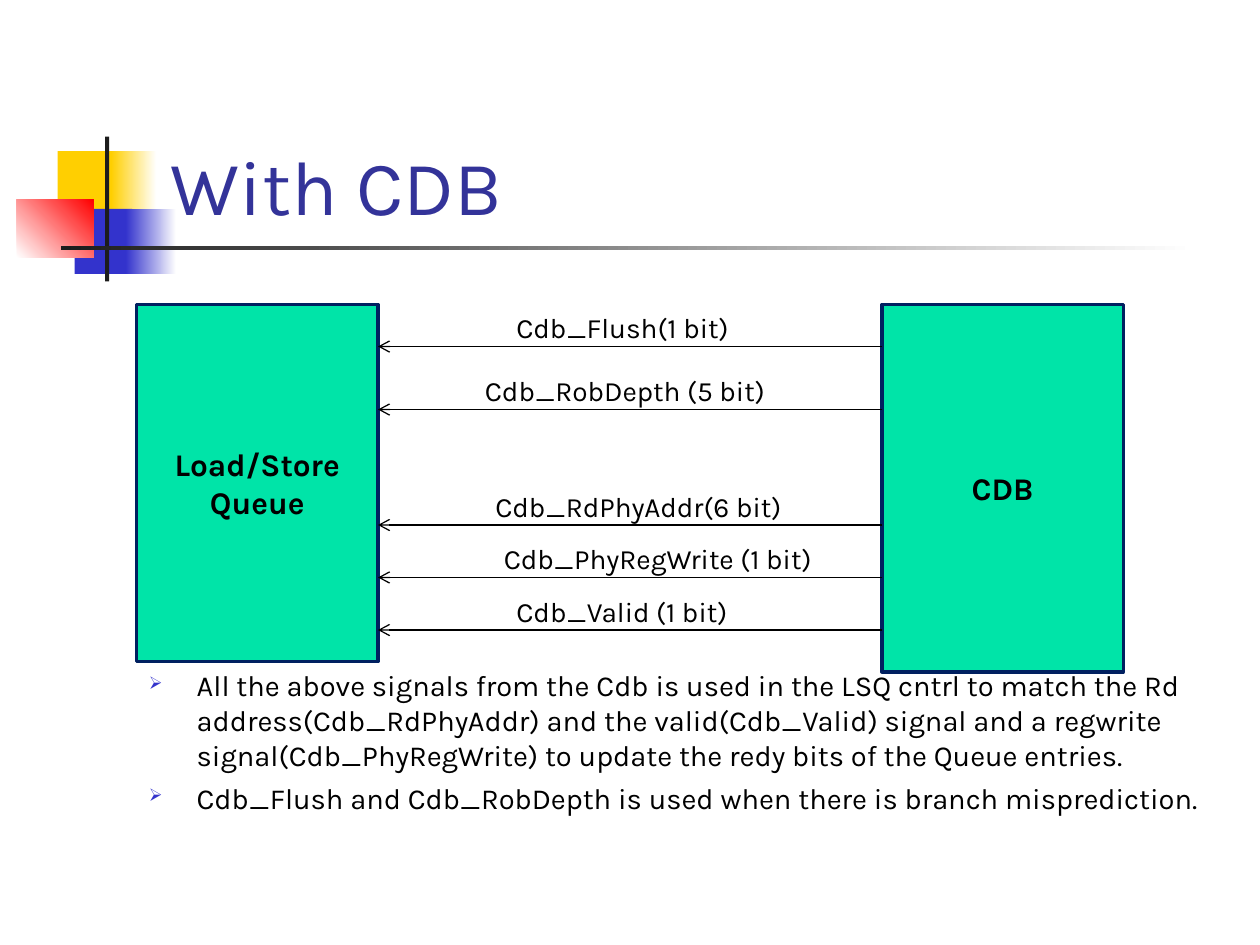
from lxml import etree
from pptx import Presentation, util as u
from pptx.dml.color import RGBColor
from pptx.enum import shapes, text
from pptx.oxml.ns import qn

CELLS_PER_INCH = 12  # grid of 120 columns by 90 rows
FONT = "Karla"
COLORS = {
    "yellow": "FFCF01", "blue": "3333CC", "red": "FF0000", "white": "FFFFFF",
    "dark": "1C1C1C", "title": "333399", "black": "000000",
    "block": "00E4A8", "border": "002060",
}
# box in cells (left, top, width, height), one or two colours, angle
DECORATIONS = [
    ((5.5, 14.4, 5.8, 6.2), ["yellow"], 0),
    ((10.6, 14.4, 4.3, 6.2), ["yellow", "white"], 0),
    ((7.1, 19.9, 5.5, 6.2), ["blue"], 0),
    ((12, 19.9, 4.8, 6.2), ["blue", "white"], 0),
    ((1.6, 19, 7.3, 5.5), ["white", "red"], 45),
    ((10, 13, 0.4, 13.8), ["dark"], 0),
    ((5.8, 23.4, 108, 0.4), ["dark", "white"], 0),
]
BLOCKS = [("Load/Store\nQueue", 13, 34), ("CDB", 84, 35)]
BLOCK_TOP, BLOCK_WIDTH = 29, 23
# label, its left column and width, row of its arrow
SIGNALS = [
    ("Cdb_Flush(1 bit)", 48, 25, 33),
    ("Cdb_RobDepth (5 bit)", 45, 36.6, 39),
    ("Cdb_RdPhyAddr(6 bit)", 46, 37.2, 50),
    ("Cdb_PhyRegWrite (1 bit)", 46.8, 33.1, 55),
    ("Cdb_Valid (1 bit)", 48, 28.9, 60),
]
NOTES = (
    "All the above signals from the Cdb is used in the LSQ cntrl to match the Rd "
    "address(Cdb_RdPhyAddr) and the valid(Cdb_Valid) signal and a regwrite "
    "signal(Cdb_PhyRegWrite) to update the redy bits of the Queue entries.\n"
    "Cdb_Flush and Cdb_RobDepth is used when there is branch misprediction."
)


def cells(*counts):
    return [u.Inches(count / CELLS_PER_INCH) for count in counts]


def color(name):
    return RGBColor.from_string(COLORS[name])


def write_text(shape, content, size, color_name="black", bold=False,
               align=text.PP_ALIGN.LEFT, anchor=text.MSO_ANCHOR.TOP, bulleted=False):
    frame = shape.text_frame
    frame.word_wrap = True
    frame.vertical_anchor = anchor
    frame.text = content
    for paragraph in frame.paragraphs:
        paragraph.alignment = align
        font = paragraph.runs[0].font
        font.name, font.size, font.bold = FONT, u.Pt(size), bold
        font.color.rgb = color(color_name)
        if bulleted:
            add_bullet(paragraph)


def add_bullet(paragraph):
    paragraph.space_before = u.Pt(4.5)
    properties = paragraph._p.get_or_add_pPr()
    indent = u.Inches(0.38)
    properties.set("marL", str(indent))
    properties.set("indent", str(-indent))
    bullet_color = etree.SubElement(properties, qn("a:buClr"))
    etree.SubElement(bullet_color, qn("a:srgbClr"), val=COLORS["blue"])
    etree.SubElement(properties, qn("a:buSzPct"), val="60000")
    etree.SubElement(properties, qn("a:buChar"), char="➢")


def add_rectangle(slide, box, color_names, angle=0):
    """Fill with one colour, or with a gradient between two."""
    shape = slide.shapes.add_shape(shapes.MSO_SHAPE.RECTANGLE, *cells(*box))
    shape.shadow.inherit = False
    shape.line.fill.background()
    if len(color_names) == 1:
        shape.fill.solid()
        shape.fill.fore_color.rgb = color(color_names[0])
    else:
        shape.fill.gradient()
        shape.fill.gradient_angle = angle
        for stop, name in zip(shape.fill.gradient_stops, color_names):
            stop.color.rgb = color(name)
    return shape


def add_block(slide, label, left, height):
    block = add_rectangle(slide, (left, BLOCK_TOP, BLOCK_WIDTH, height), ["block"])
    block.line.color.rgb = color("border")
    block.line.width = u.Pt(2)
    write_text(block, label, 18, bold=True, align=text.PP_ALIGN.CENTER,
               anchor=text.MSO_ANCHOR.MIDDLE)


def add_text_box(slide, box, content, size, **text_format):
    text_box = slide.shapes.add_textbox(*cells(*box))
    write_text(text_box, content, size, **text_format)
    return text_box


def add_arrow(slide, start, end, row):
    arrow = slide.shapes.add_connector(
        shapes.MSO_CONNECTOR.STRAIGHT, *cells(start, row, end, row))
    arrow.line.color.rgb = color("black")
    arrow.line.width = u.Pt(0.75)
    etree.SubElement(arrow.line._get_or_add_ln(), qn("a:tailEnd"), type="arrow")
    etree.SubElement(arrow._element.spPr, qn("a:effectLst"))


def main():
    presentation = Presentation()
    presentation.slide_width, presentation.slide_height = cells(120, 90)
    slide = presentation.slides.add_slide(presentation.slide_layouts[6])

    for box, color_names, angle in DECORATIONS:
        add_rectangle(slide, box, color_names, angle)
    title = add_text_box(slide, (15.1, 2.8, 102.2, 19.2), "With CDB", 44,
                         color_name="title", anchor=text.MSO_ANCHOR.BOTTOM)
    title.text_frame.margin_bottom = 0
    add_text_box(slide, (13, 63, 103, 23), NOTES, 16.6, bulleted=True)

    for label, left, height in BLOCKS:
        add_block(slide, label, left, height)
    queue_edge, cdb_edge = BLOCKS[0][1] + BLOCK_WIDTH, BLOCKS[1][1]
    for label, left, width, row in SIGNALS:
        add_arrow(slide, cdb_edge, queue_edge, row)
        add_text_box(slide, (left, row - 4, width, 4.4), label, 16)

    presentation.save("out.pptx")


if __name__ == "__main__":
    main()
